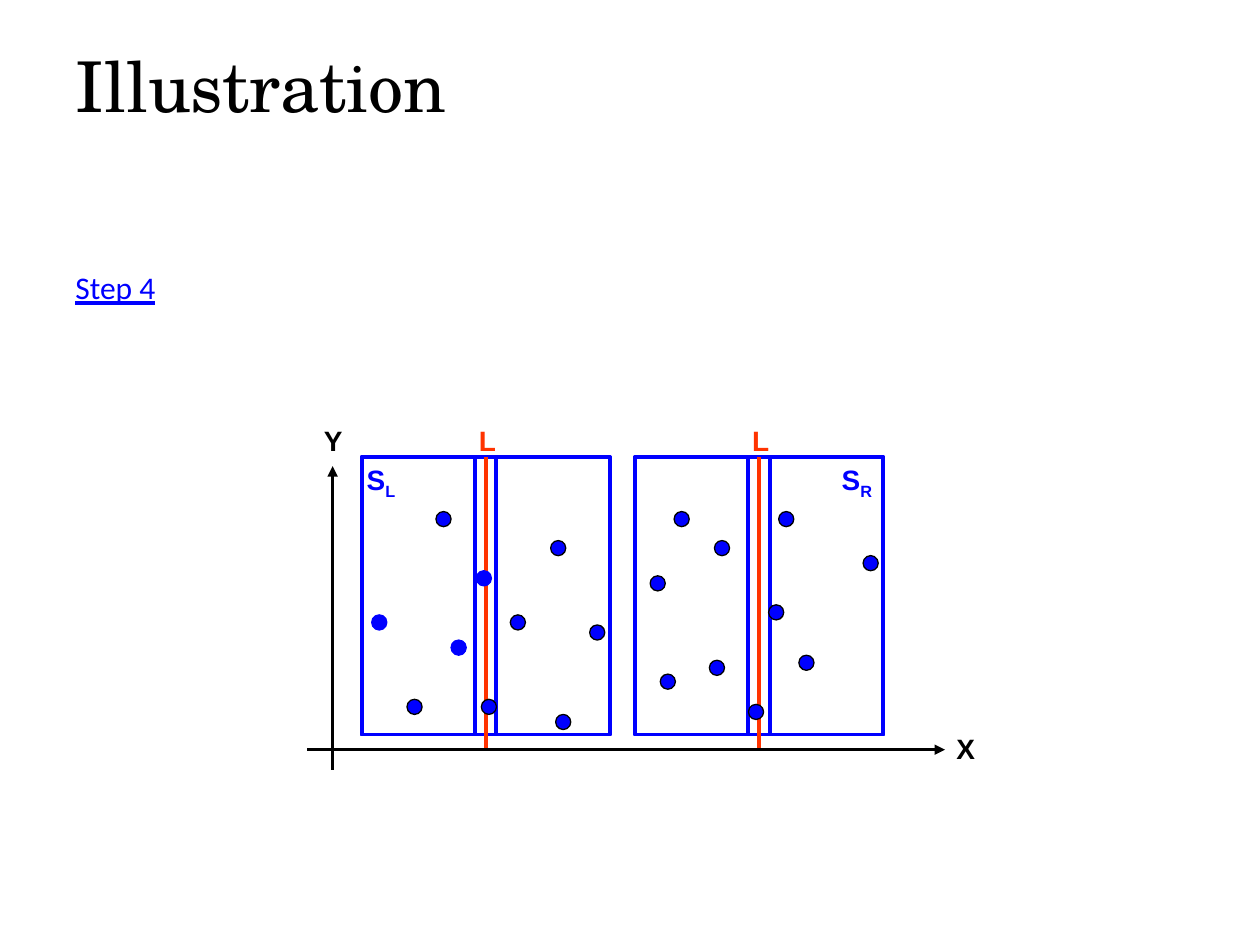
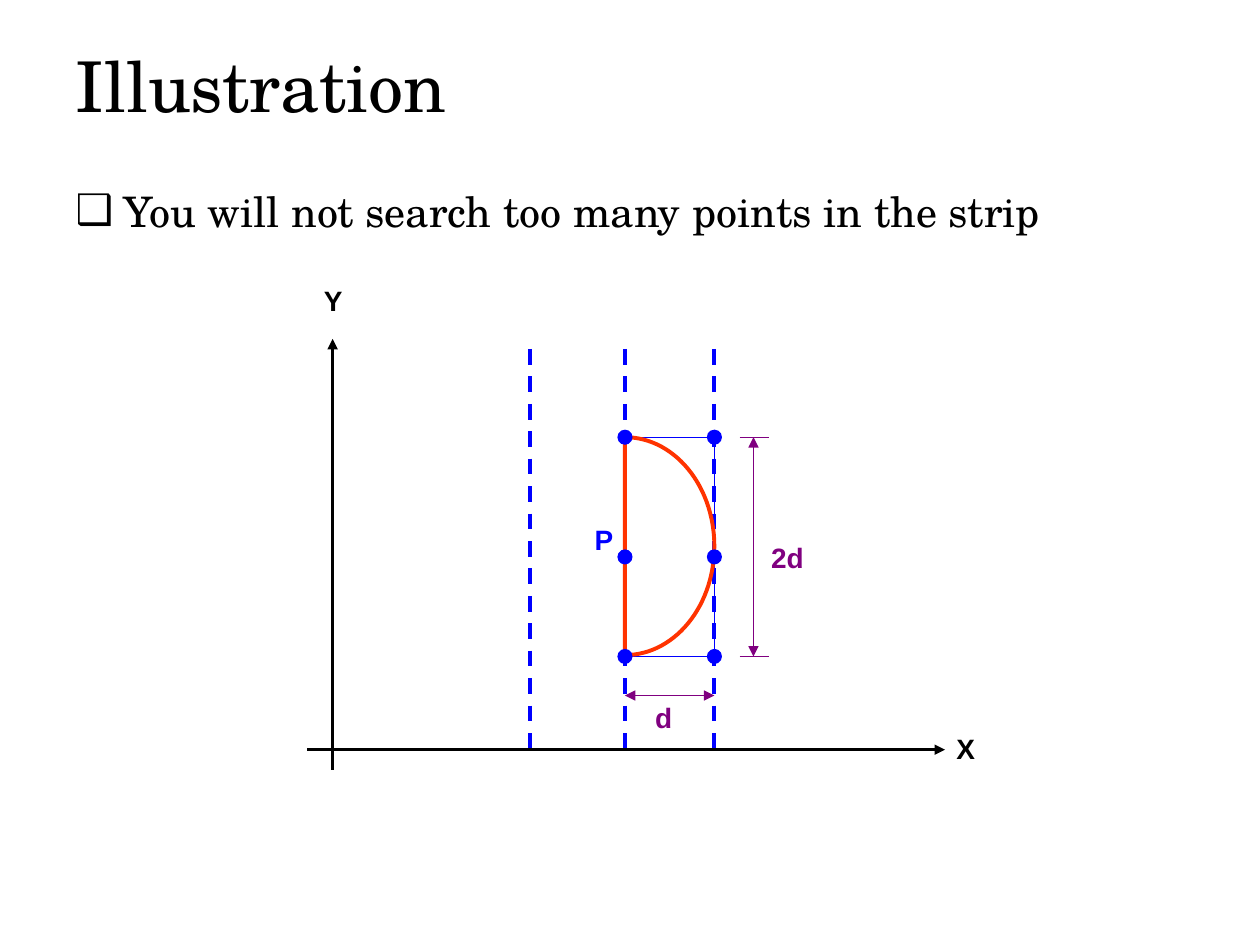
from math import cos, pi, sin
from pptx import Presentation
from pptx.dml.color import RGBColor
from pptx.enum.dml import MSO_LINE
from pptx.enum.shapes import MSO_CONNECTOR, MSO_SHAPE
from pptx.enum.text import MSO_ANCHOR, MSO_AUTO_SIZE, PP_ALIGN
from pptx.oxml.ns import qn
from pptx.util import Inches, Pt
from lxml.etree import SubElement as Sub

BLUE, RED, BLACK, PURPLE = "0000FF", "FF3300", "000000", "800080"
SERIF, SANS, PLAIN = "TeX Gyre Schola", "Arial", "Calibri"
COLS, ROWS = 100, 75
DOT = 1.2


def tint(code):
    return RGBColor.from_string(code)


class Deck:
    def __init__(self):
        self.prs = Presentation()
        self.prs.slide_width, self.prs.slide_height = Inches(10), Inches(7.5)
        self.slide = None

    def col(self, n):
        return round(self.prs.slide_width * n / COLS)

    def row(self, n):
        return round(self.prs.slide_height * n / ROWS)

    def box(self, x, y, w, h):
        return self.col(x), self.row(y), self.col(w), self.row(h)

    def place(self, shape, *area):
        shape.left, shape.top, shape.width, shape.height = self.box(*area)

    def font(self, par, size, face, color, bold=False):
        font = par.font
        font.size, font.name, font.bold = Pt(size), face, bold
        font.color.rgb = tint(color)
        return font

    def start(self, layout, title):
        self.slide = self.prs.slides.add_slide(self.prs.slide_layouts[layout])
        head = self.slide.shapes.title
        self.place(head, 5, 3, 90, 7.4)
        frame = head.text_frame
        frame.text = title
        frame.vertical_anchor = MSO_ANCHOR.MIDDLE
        par = frame.paragraphs[0]
        par.alignment = PP_ALIGN.LEFT
        self.font(par, 40, SERIF, BLACK)

    def body(self, text):
        hold = self.slide.placeholders[1]
        self.place(hold, 5, 14.2, 90, 49.5)
        par = hold.text_frame.paragraphs[0]
        par.text = text
        par.space_before = Pt(0)
        props = par._p.get_or_add_pPr()
        props.set("marL", str(Inches(0.38)))
        props.set("indent", str(-Inches(0.38)))
        Sub(props, qn("a:buChar")).set("char", "❑")
        self.font(par, 24, SERIF, BLACK)

    def text(self, words, x, y, w, h):
        shape = self.slide.shapes.add_textbox(*self.box(x, y, w, h))
        frame = shape.text_frame
        frame.word_wrap = False
        frame.auto_size = MSO_AUTO_SIZE.SHAPE_TO_FIT_TEXT
        frame.text = words
        return frame

    def label(self, words, x, y, color, sub="", w=1.5):
        frame = self.text(words, x, y, w, 2.7)
        frame.margin_left = frame.margin_right = 0
        frame.margin_top = frame.margin_bottom = 0
        par = frame.paragraphs[0]
        if sub:
            run = par.add_run()
            run.text = sub
            run._r.get_or_add_rPr().set("baseline", "-25000")
        self.font(par, 16, SANS, color, True)

    def note(self, words, x, y, w, h):
        par = self.text(words, x, y, w, h).paragraphs[0]
        self.font(par, 18, PLAIN, BLUE).underline = True

    def style(self, shape, fill=None, edge=None, width=2.25):
        shape.shadow.inherit = False
        if fill:
            shape.fill.solid()
            shape.fill.fore_color.rgb = tint(fill)
        else:
            shape.fill.background()
        if edge:
            shape.line.color.rgb = tint(edge)
            shape.line.width = Pt(width)
        else:
            shape.line.fill.background()
        return shape

    def frame(self, x, y, w, h):
        kind = MSO_SHAPE.RECTANGLE
        shape = self.slide.shapes.add_shape(kind, *self.box(x, y, w, h))
        return self.style(shape, edge=BLUE)

    def dot(self, x, y, edge=None):
        kind = MSO_SHAPE.OVAL
        area = self.box(x - DOT / 2, y - DOT / 2, DOT, DOT)
        self.style(self.slide.shapes.add_shape(kind, *area), BLUE, edge, 0)

    def line(self, x1, y1, x2, y2, color, width, ends=(), dash=False):
        link = self.slide.shapes.add_connector(
            MSO_CONNECTOR.STRAIGHT, self.col(x1), self.row(y1), self.col(x2), self.row(y2))
        link.line.color.rgb = tint(color)
        link.line.width = Pt(width)
        if dash:
            link.line.dash_style = MSO_LINE.DASH
        for end in ends:
            Sub(link.line._get_or_add_ln(), qn(f"a:{end}End")).set("type", "triangle")
        Sub(link._element.spPr, qn("a:effectLst"))
        return link

    def half(self, x, y, rx, ry, steps=60):
        turns = [pi * n / steps - pi / 2 for n in range(steps + 1)]
        spots = [(self.col(x + rx * cos(t)), self.row(y + ry * sin(t))) for t in turns]
        path = self.slide.shapes.build_freeform(*spots[0])
        path.add_line_segments(spots[1:], close=True)
        self.style(path.convert_to_shape(), edge=RED)

    def axes(self, top, name):
        self.line(26.4, top, 26.4, 61.1, BLACK, 1.5, ["head"])
        self.label("Y", 25.7, name, BLACK)
        self.line(24.4, 59.5, 75, 59.5, BLACK, 1.5, ["tail"])
        self.label("X", 75.9, 58.1, BLACK)


def split(deck):
    deck.start(5, "Illustration")
    deck.note("Step 4", 5, 20.8, 8.5, 4)
    top, wide, high, part = 36.3, 19.7, 22, 9
    for left, sub, x in ((28.7, "L", 29.1), (50.4, "R", 66.8)):
        mid = left + wide / 2
        area = deck.frame(left, top, wide, high)
        deck.label("S", x, 36.7, BLUE, sub, 2.5)
        deck.line(mid, top, mid, 59.5, RED, 2.25).begin_connect(area, 0)
        deck.label("L", mid - 0.55, 33.6, RED)
        for x in (left, left + wide - part):
            deck.frame(x, top, part, high)
    deck.axes(37, 33.6)
    spots = {
        BLUE: [(30.1, 49.4), (38.4, 45.9), (36.4, 51.4)],
        BLACK: [(35.2, 41.2), (44.3, 43.5), (32.9, 56.1), (38.8, 56.1), (44.7, 57.3),
                (53, 54.1), (54.1, 41.2), (41.1, 49.4), (47.4, 50.2), (52.2, 46.3),
                (56.9, 53), (60, 56.5), (64, 52.6), (61.6, 48.6), (57.3, 43.5),
                (62.4, 41.2), (69.1, 44.7)],
    }
    for edge, group in spots.items():
        for x, y in group:
            deck.dot(x, y, edge)


def strip(deck):
    deck.start(1, "Illustration")
    deck.body("You will not search too many points in the strip")
    near, far, top, mid, low = 49.6, 56.7, 34.7, 44.2, 52.1
    for x in (42.1, near, far):
        deck.line(x, 27.7, x, 59.5, BLUE, 2.25, dash=True)
    deck.line(far, top, far, low, BLUE, 0.75)
    for y in (top, low):
        deck.line(near, y, far, y, BLUE, 0.75)
        deck.line(58.7, y, 61, y, PURPLE, 0.75)
    deck.half(near, 43.35, far - near, 8.65)
    deck.axes(26.9, 22.5)
    for x in (near, far):
        for y in (top, mid, low):
            deck.dot(x, y)
    deck.label("P", 47.2, 41.5, BLUE)
    both = ["head", "tail"]
    deck.line(near, 55.2, far, 55.2, PURPLE, 0.75, both)
    deck.label("d", 52, 55.6, PURPLE)
    deck.line(59.8, top, 59.8, low, PURPLE, 0.75, both)
    deck.label("2d", 61.2, 42.9, PURPLE, w=2.6)


def main():
    deck = Deck()
    split(deck)
    strip(deck)
    deck.prs.save("out.pptx")


if __name__ == "__main__":
    main()
